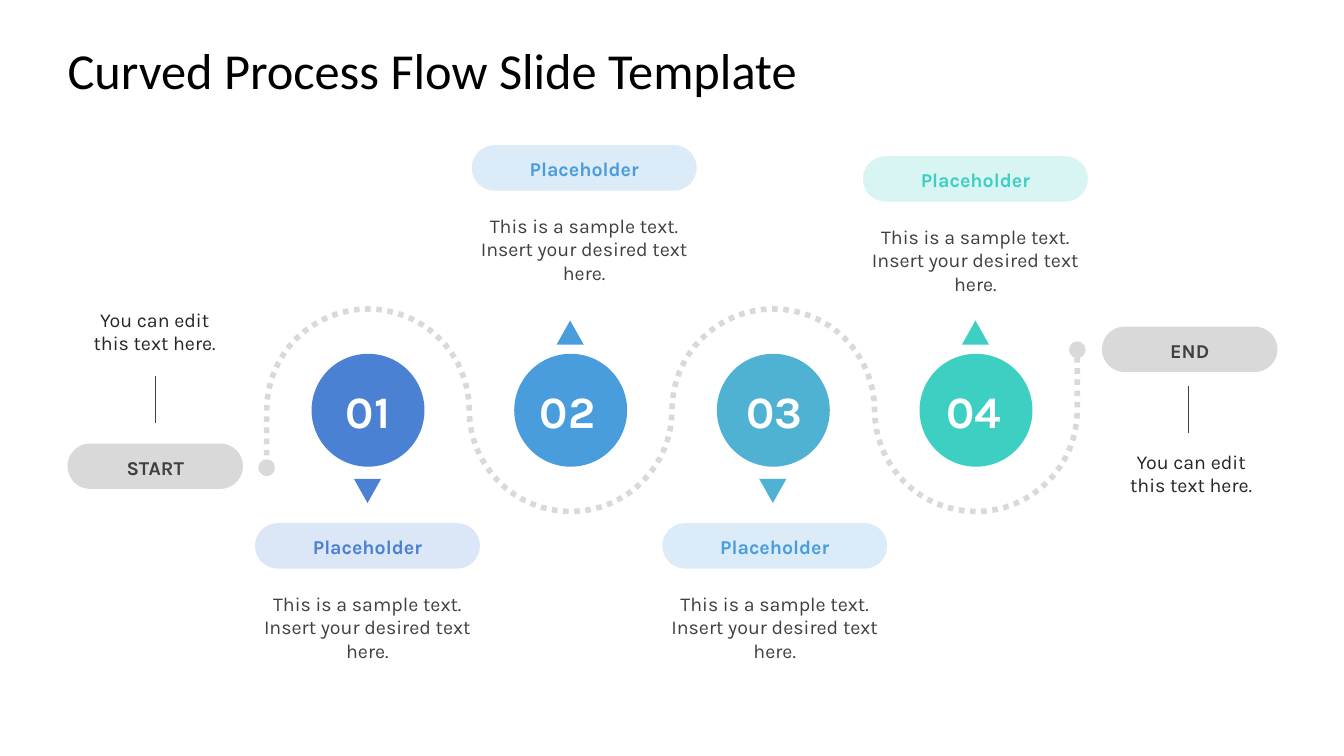
from dataclasses import dataclass
from math import cos, pi, sin

from lxml.etree import SubElement
from pptx import Presentation
from pptx.dml.color import RGBColor as Rgb
from pptx.enum.dml import MSO_LINE as Dash
from pptx.enum.shapes import MSO_CONNECTOR as Link, MSO_SHAPE as Form
from pptx.enum.text import MSO_ANCHOR as Anchor, PP_ALIGN as Align
from pptx.oxml.ns import qn
from pptx.util import Inches, Pt


@dataclass(frozen=True)
class Theme:
    head: str = "Calibri"
    body: str = "Karla"
    title: int = 36
    number: int = 32
    text: int = 14
    black: str = "000000"
    white: str = "FFFFFF"
    dark: str = "262626"
    gray: str = "404040"
    pale: str = "D9D9D9"


class Pen:
    def __init__(self, slide, theme):
        self.slide = slide
        self.theme = theme

    def shape(self, form, x, y, w, h, color, turn=0):
        item = self.slide.shapes.add_shape(
            form, Inches(x), Inches(y), Inches(w), Inches(h))
        item.shadow.inherit = False
        item.fill.solid()
        item.fill.fore_color.rgb = Rgb.from_string(color)
        item.line.fill.background()
        item.rotation = turn
        return item

    def text(self, x, y, w, h, words, color, size=None, bold=False,
             font=None, align=Align.CENTER, anchor=Anchor.MIDDLE):
        box = self.slide.shapes.add_textbox(
            Inches(x), Inches(y), Inches(w), Inches(h))
        frame = box.text_frame
        frame.word_wrap = True
        frame.vertical_anchor = anchor
        frame.margin_left = frame.margin_right = 0
        frame.margin_top = frame.margin_bottom = 0
        para = frame.paragraphs[0]
        para.alignment = align
        run = para.add_run()
        run.text = words
        run.font.name = font or self.theme.body
        run.font.size = Pt(size or self.theme.text)
        run.font.bold = bold
        run.font.color.rgb = Rgb.from_string(color)

    def pill(self, x, y, w, words, fill, color, pad):
        """Draw a fully rounded bar with a bold label inset by pad."""
        bar = self.shape(Form.ROUNDED_RECTANGLE, x, y, w, 0.45, fill)
        bar.adjustments[0] = 0.5
        self.text(x + pad, y + 0.09, w - 2 * pad, 0.29, words, color, bold=True)

    def rule(self, x, top, end):
        line = self.slide.shapes.add_connector(
            Link.STRAIGHT, Inches(x), Inches(top), Inches(x), Inches(end))
        line.line.width = Pt(0.75)
        line.line.color.rgb = Rgb.from_string(self.theme.gray)
        SubElement(line._element.spPr, qn("a:effectLst"))

    def trail(self, points):
        """Draw a dotted open path with a round dot at each end."""
        spots = [(Inches(x), Inches(y)) for x, y in points]
        path = self.slide.shapes.build_freeform(*spots[0])
        path.add_line_segments(spots[1:], close=False)
        item = path.convert_to_shape()
        item.shadow.inherit = False
        item.fill.background()
        item.line.width = Pt(4)
        item.line.color.rgb = Rgb.from_string(self.theme.pale)
        item.line.dash_style = Dash.ROUND_DOT
        edge = item.line._get_or_add_ln()
        SubElement(edge, qn("a:round"))
        for end in ("a:headEnd", "a:tailEnd"):
            SubElement(edge, qn(end), type="oval")


FIRST, GAP, MID = 3.65, 2.01, 4.07
SAMPLE = "This is a sample text. Insert your desired text here."
NOTE = "You can edit this text here."

# color, label color, label fill, label left, label top, number left
STEPS = [
    ("4A81D2", "4A81D2", "DBE6F6", 2.53, 5.19, 3.26),
    ("4A9DDD", "4A9DDD", "DBEBF8", 4.68, 1.44, 5.24),
    ("4FB2D3", "4A9DDD", "DBEBF8", 6.57, 5.19, 7.29),
    ("3ECFC3", "3ECFC3", "D8F5F3", 8.56, 1.55, 9.27),
]


def wave(parts=32):
    """Return the path from END to START, half a circle around each step."""
    radius = GAP / 2
    points = [(FIRST + 3 * GAP + radius, 3.47)]
    for step in reversed(range(len(STEPS))):
        side = 1 if step % 2 else -1
        for part in range(parts + 1):
            angle = pi * part / parts
            points.append((FIRST + step * GAP + radius * cos(angle),
                           MID + side * radius * sin(angle)))
    return points + [(FIRST - radius, 4.64)]


def main():
    deck = Presentation()
    deck.slide_width, deck.slide_height = Inches(13.33), Inches(7.5)
    theme = Theme()
    pen = Pen(deck.slides.add_slide(deck.slide_layouts[6]), theme)

    pen.text(0.67, 0.3, 12, 0.78, "Curved Process Flow Slide Template",
             theme.black, theme.title, font=theme.head, align=Align.LEFT)
    pen.trail(wave())

    for step, (color, ink, fill, left, top, num) in enumerate(STEPS):
        x = FIRST + step * GAP
        down = step % 2 == 0
        pen.shape(Form.OVAL, x - 0.56, 3.51, 1.12, 1.12, color)
        pen.shape(Form.ISOSCELES_TRIANGLE, x - 0.14, 4.75 if down else 3.18,
                  0.27, 0.24, color, 180 if down else 0)
        pen.text(num, 3.74, 0.78, 0.67, f"{step + 1:02}", theme.white,
                 theme.number, bold=True)
        pen.pill(left, top, 2.23, "Placeholder", fill, ink, 0.14)
        pen.text(left, top + 0.68, 2.23, 0.78, SAMPLE, theme.gray,
                 anchor=Anchor.TOP)

    pen.pill(0.67, 4.4, 1.74, "START", theme.pale, theme.gray, 0.11)
    pen.pill(10.93, 3.24, 1.74, "END", theme.pale, theme.gray, 0.11)
    pen.text(0.82, 2.31, 1.43, 1.21, NOTE, theme.dark, anchor=Anchor.BOTTOM)
    pen.text(11.1, 4.46, 1.43, 0.93, NOTE, theme.dark, anchor=Anchor.TOP)
    pen.rule(1.54, 3.73, 4.2)
    pen.rule(11.79, 3.83, 4.3)
    deck.save("out.pptx")


if __name__ == "__main__":
    main()
